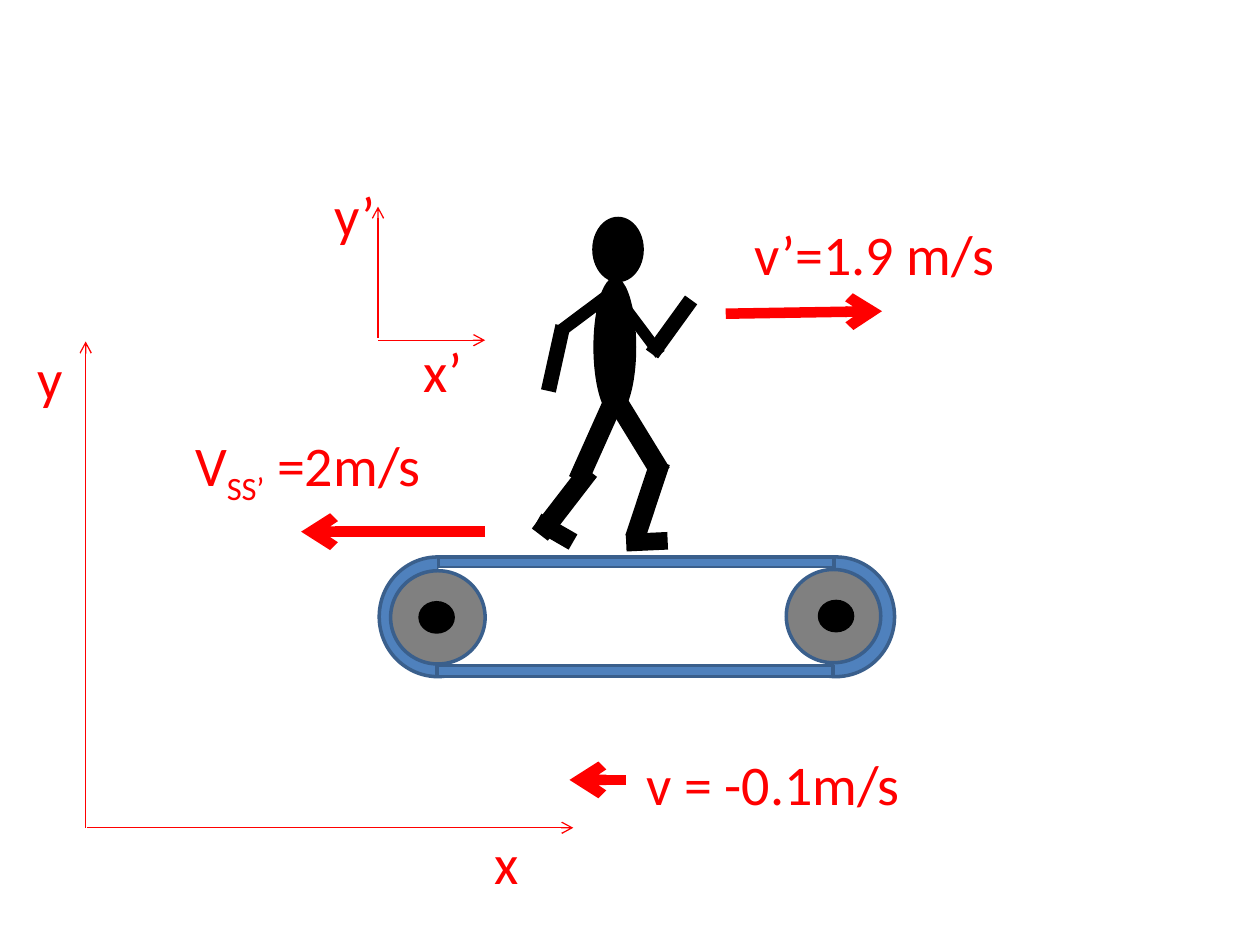
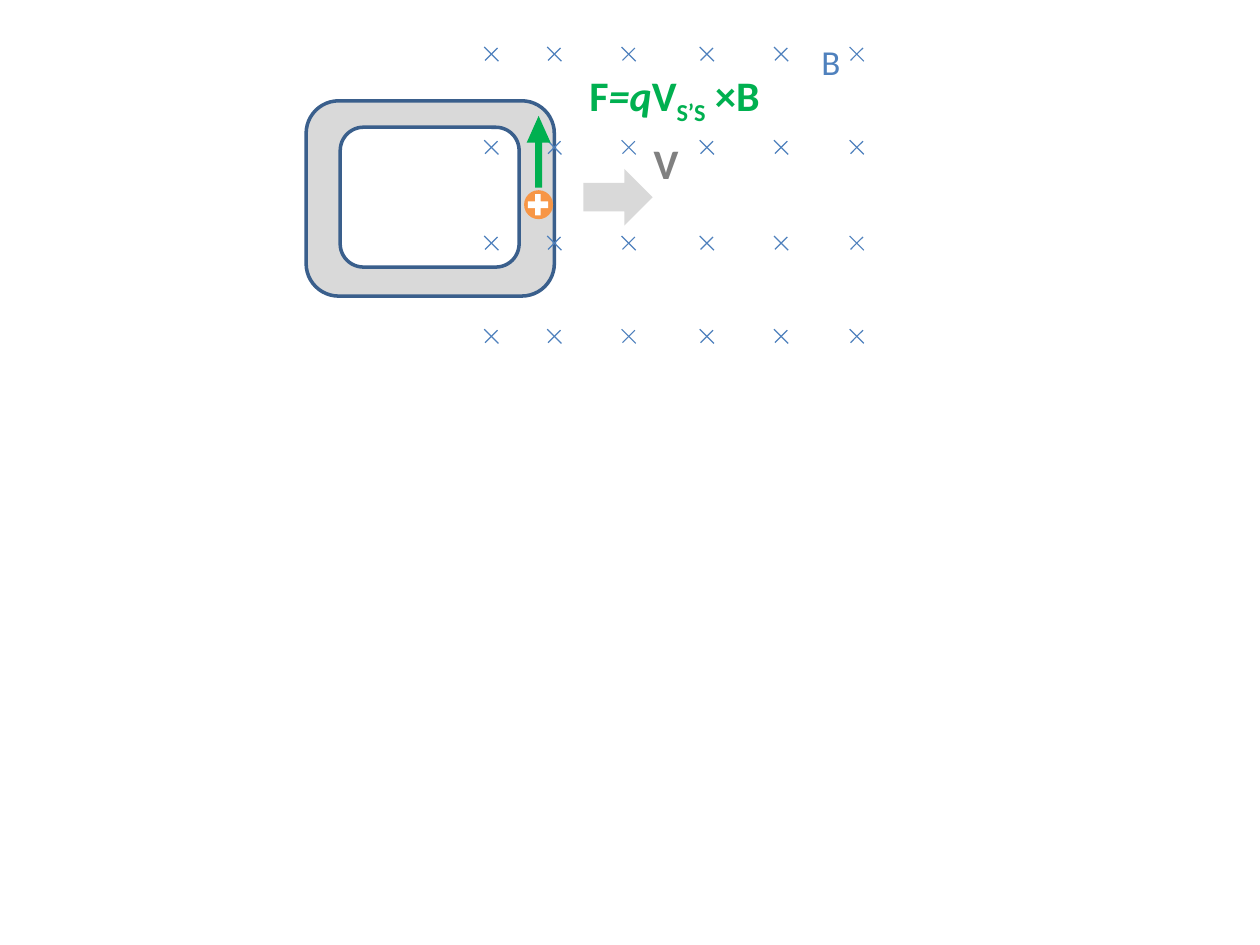
"""Build two physics slides: a walker on a treadmill and a loop entering a magnetic field."""
from lxml import etree
from pptx import Presentation
from pptx.dml.color import RGBColor
from pptx.enum.shapes import MSO_CONNECTOR, MSO_SHAPE
from pptx.enum.text import MSO_AUTO_SIZE
from pptx.oxml.ns import qn
from pptx.util import Inches, Pt

STRAIGHT = MSO_CONNECTOR.STRAIGHT
OVAL, RECT = MSO_SHAPE.OVAL, MSO_SHAPE.RECTANGLE
ROUNDED, CROSS = MSO_SHAPE.ROUNDED_RECTANGLE, MSO_SHAPE.CROSS
RIGHT_ARROW, UP_ARROW = MSO_SHAPE.RIGHT_ARROW, MSO_SHAPE.UP_ARROW
GROW = MSO_AUTO_SIZE.SHAPE_TO_FIT_TEXT

FONT = "Calibri"
COLORS = {
    "black": "000000", "white": "FFFFFF", "gray": "808080", "light": "D9D9D9",
    "blue": "4F81BD", "edge": "3A5F8C", "red": "FF0000", "green": "00B050",
    "orange": "F79646",
}

HEAD_AND_TRUNK = [(4.7, 1.72, 0.41, 0.52), (4.71, 2.2, 0.34, 1.11)]
LIMBS = [
    ((4.61, 2.2, 0.1, 0.54), 53.2),
    ((5.27, 2.33, 0.12, 0.53), 35.9),
    ((4.64, 3.2, 0.16, 0.64), 24.1),
    ((5.06, 3.65, 0.16, 0.64), 18.4),
    ((4.97, 4.23, 0.33, 0.14), 357.4),
    ((5.02, 2.29, 0.09, 0.58), 143.2),
    ((4.35, 2.58, 0.12, 0.53), 12.5),
    ((5, 3.16, 0.16, 0.64), 328.5),
    ((4.4, 3.67, 0.16, 0.64), 37.6),
    ((4.24, 4.15, 0.33, 0.14), 29.9),
]
TREADMILL = [
    (OVAL, (3.01, 4.42, 0.93, 0.95), "blue", "edge"),
    (OVAL, (6.17, 4.42, 0.93, 0.95), "blue", "edge"),
    (RECT, (3.48, 4.42, 3.14, 0.09), "blue", "edge"),
    (RECT, (3.48, 4.51, 3.14, 0.82), "white", None),
    (OVAL, (3.1, 4.53, 0.75, 0.74), "gray", "edge"),
    (OVAL, (6.24, 4.52, 0.75, 0.74), "gray", "edge"),
    (RECT, (3.47, 5.28, 3.14, 0.09), "blue", "edge"),
    (OVAL, (3.32, 4.77, 0.29, 0.26), "black", None),
    (OVAL, (6.49, 4.76, 0.29, 0.26), "black", None),
]
VELOCITIES = [
    ((3.85, 4.22), (2.39, 4.22)),
    ((5.76, 2.49), (7, 2.47)),
    ((4.97, 6.19), (4.52, 6.19)),
]
AXES = [
    ((0.68, 6.57), (0.68, 2.71)),
    ((0.69, 6.57), (4.55, 6.57)),
    ((3, 2.68), (3, 1.64)),
    ((3, 2.7), (3.85, 2.7)),
]
FRAME_LABELS = [
    ((1.45, 3.37, 2.64, 0.64), [("V", ""), ("SS’", "sub"), (" =2m/s", "")]),
    ((5.89, 1.69, 2.39, 0.64), [("v’=1.9 m/s", "")]),
    ((5.03, 5.9, 2.47, 0.64), [("v = -0.1m/s", "")]),
    ((0.2, 2.68, 0.98, 0.64), [("y", "")]),
    ((3.83, 6.53, 0.98, 0.64), [("x", "")]),
    ((2.56, 1.38, 0.98, 0.64), [("y’", "")]),
    ((3.26, 2.62, 0.98, 0.64), [("x’", "")]),
]

LOOP = [((2.43, 0.8, 1.97, 1.55), "light"), ((2.7, 1.01, 1.42, 1.11), "white")]
FIELD_COLUMNS = [3.9, 4.4, 4.99, 5.61, 6.2, 6.8]
FIELD_ROWS = [0.43, 1.17, 1.93, 2.67]
CROSS_STROKES = [(0.16, 45), (0.14, 315)]
STROKE_HEIGHT = 0.01
CHARGE = [
    (OVAL, (4.16, 1.51, 0.23, 0.23), "orange", []),
    (CROSS, (4.19, 1.54, 0.16, 0.17), "white", [0.364]),
]
MOTION_ARROW = (4.63, 1.34, 0.55, 0.45)
FORCE_ARROW = (4.18, 0.92, 0.19, 0.57)
FORCE_ADJUSTMENTS = [0.286, 1.12]
FIELD_LABELS = [
    ((5.09, 1.04, 0.4, 0.5), [("V", "")], 24, "gray", True),
    ((4.58, 0.5, 1.63, 0.5),
     [("F", ""), ("=q", "italic"), ("V", ""), ("S’S", "sub"), (" ×B", "")],
     24, "green", True),
    ((6.42, 0.27, 0.35, 0.44), [("B", "")], 20, "blue", False),
]


def rgb(color):
    return RGBColor.from_string(COLORS[color])


def inches(values):
    return [Inches(value) for value in values]


def draw(shapes, kind, box, fill, edge=None, rotation=0, adjustments=()):
    shape = shapes.add_shape(kind, *inches(box))
    shape.shadow.inherit = False
    shape.fill.solid()
    shape.fill.fore_color.rgb = rgb(fill)
    shape.rotation = rotation
    for index, value in enumerate(adjustments):
        shape.adjustments[index] = value
    if edge:
        shape.line.color.rgb = rgb(edge)
        shape.line.width = Pt(2)
    else:
        shape.line.fill.background()


def draw_arrow(shapes, start, end, width):
    arrow = shapes.add_connector(STRAIGHT, *inches(start + end))
    arrow.line.color.rgb = rgb("red")
    arrow.line.width = Pt(width)
    etree.SubElement(arrow.line._get_or_add_ln(), qn("a:tailEnd"), type="arrow")
    etree.SubElement(arrow._element.spPr, qn("a:effectLst"))


def write(shapes, box, parts, size, color, bold=False, wrap=True):
    frame = shapes.add_textbox(*inches(box)).text_frame
    frame.word_wrap = wrap
    frame.auto_size = GROW
    for text, style in parts:
        run = frame.paragraphs[0].add_run()
        run.text = text
        run.font.name = FONT
        run.font.size = Pt(size)
        run.font.bold = bold
        run.font.italic = style == "italic"
        run.font.color.rgb = rgb(color)
        if style == "sub":
            run.font._element.set("baseline", "-25000")


def build_treadmill(shapes):
    for box in HEAD_AND_TRUNK:
        draw(shapes, OVAL, box, "black")
    for box, rotation in LIMBS:
        draw(shapes, RECT, box, "black", rotation=rotation)
    for kind, box, fill, edge in TREADMILL:
        draw(shapes, kind, box, fill, edge)
    for arrows, width in ((VELOCITIES, 6), (AXES, 0.75)):
        for start, end in arrows:
            draw_arrow(shapes, start, end, width)
    for box, parts in FRAME_LABELS:
        write(shapes, box, parts, 32, "red")


def build_field(shapes):
    for box, fill in LOOP:
        draw(shapes, ROUNDED, box, fill, "edge")
    field = shapes.add_group_shape().shapes
    for x in FIELD_COLUMNS:
        for y in FIELD_ROWS:
            for length, rotation in CROSS_STROKES:
                box = (x - length / 2, y - STROKE_HEIGHT / 2, length, STROKE_HEIGHT)
                draw(field, RECT, box, "blue", rotation=rotation)
    draw(shapes, RIGHT_ARROW, MOTION_ARROW, "light")
    charge = shapes.add_group_shape().shapes
    for kind, box, fill, adjustments in CHARGE:
        draw(charge, kind, box, fill, adjustments=adjustments)
    draw(shapes, UP_ARROW, FORCE_ARROW, "green", adjustments=FORCE_ADJUSTMENTS)
    for box, parts, size, color, bold in FIELD_LABELS:
        write(shapes, box, parts, size, color, bold, wrap=False)


def main():
    deck = Presentation()
    deck.slide_width, deck.slide_height = inches((10, 7.5))
    blank = deck.slide_layouts[6]
    for build in (build_treadmill, build_field):
        build(deck.slides.add_slide(blank).shapes)
    deck.save("out.pptx")


if __name__ == "__main__":
    main()
